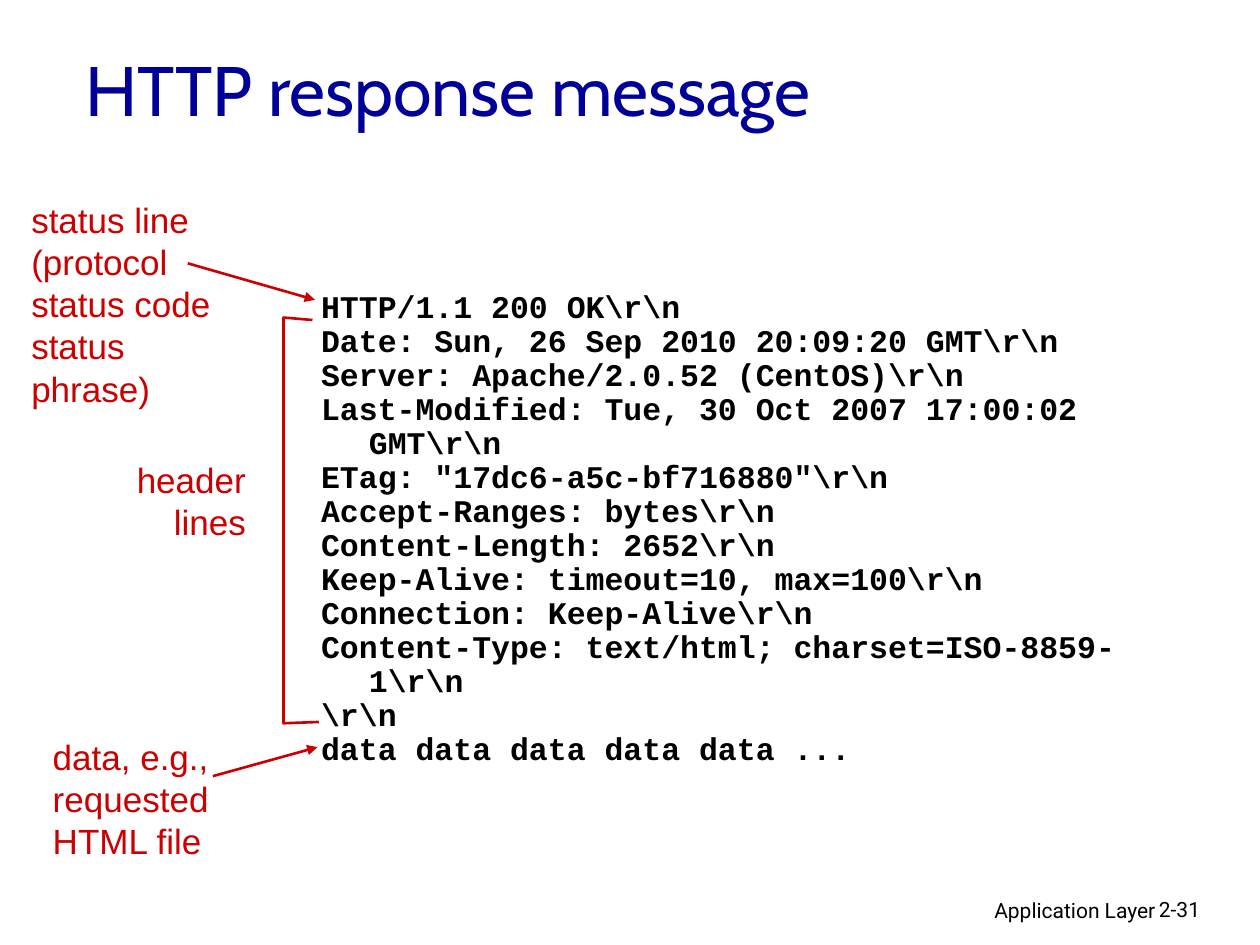
"""Build a slide that explains the parts of an HTTP response message."""
from dataclasses import dataclass

from lxml.etree import SubElement
from pptx import Presentation
from pptx.dml.color import RGBColor
from pptx.enum.shapes import MSO_CONNECTOR as Connector
from pptx.enum.text import MSO_ANCHOR as Anchor, PP_ALIGN as Align
from pptx.oxml.ns import qn
from pptx.util import Inches, Pt


@dataclass(frozen=True)
class Theme:
    title = dict(name="Cabin", size=Pt(40), color="000099")
    label = dict(name="Arial", size=Pt(20), color="CC0000")
    code = dict(name="Courier New", size=Pt(18), bold=True, color="000000")
    footer = dict(name="Roboto", size=Pt(12), color="000000")
    line_color = "CC0000"
    line_width = Pt(1.5)
    label_spacing = dict(line_spacing=Pt(24))
    code_spacing = dict(line_spacing=Pt(19.43))


THEME = Theme()

RESPONSE = r"""HTTP/1.1 200 OK\r\n
Date: Sun, 26 Sep 2010 20:09:20 GMT\r\n
Server: Apache/2.0.52 (CentOS)\r\n
Last-Modified: Tue, 30 Oct 2007 17:00:02 GMT\r\n
ETag: "17dc6-a5c-bf716880"\r\n
Accept-Ranges: bytes\r\n
Content-Length: 2652\r\n
Keep-Alive: timeout=10, max=100\r\n
Connection: Keep-Alive\r\n
Content-Type: text/html; charset=ISO-8859-1\r\n
\r\n
data data data data data ..."""


def place(shape, left, top, width, height):
    sides = dict(left=left, top=top, width=width, height=height)
    for name, value in sides.items():
        setattr(shape, name, Inches(value))


def write(frame, text, style, layout=None, hanging=0):
    frame.word_wrap = True
    frame.text = text
    for para in frame.paragraphs:
        for name, value in (layout or {}).items():
            setattr(para, name, value)
        if hanging:
            properties = para._p.get_or_add_pPr()
            properties.set("marL", str(Inches(hanging)))
            properties.set("indent", str(-Inches(hanging)))
        for span in para.runs:
            for name, value in style.items():
                if name == "color":
                    span.font.color.rgb = RGBColor.from_string(value)
                else:
                    setattr(span.font, name, value)


def add_title(page, text):
    title = page.shapes.title
    place(title, 0.58, 0.17, 8.5, 1.07)
    title.text_frame.vertical_anchor = Anchor.MIDDLE
    write(title.text_frame, text, THEME.title, dict(alignment=Align.LEFT))


def add_text(page, area, text, style, layout=None, hanging=0):
    box = page.shapes.add_textbox(*map(Inches, area))
    write(box.text_frame, text, style, layout, hanging)


def add_label(page, area, text, alignment=Align.LEFT):
    layout = dict(alignment=alignment, **THEME.label_spacing)
    add_text(page, area, text, THEME.label, layout)


def style_line(shape):
    shape.line.color.rgb = RGBColor.from_string(THEME.line_color)
    shape.line.width = THEME.line_width


def add_arrow(page, start, end):
    arrow = page.shapes.add_connector(
        Connector.STRAIGHT, *map(Inches, start + end))
    style_line(arrow)
    SubElement(arrow.line._get_or_add_ln(), qn("a:tailEnd"), type="triangle")
    SubElement(arrow._element.spPr, qn("a:effectLst"))


def add_bracket(page, points):
    start, *rest = [tuple(map(Inches, point)) for point in points]
    builder = page.shapes.build_freeform(*start)
    builder.add_line_segments(rest, close=False)
    bracket = builder.convert_to_shape()
    bracket.fill.background()
    bracket.shadow.inherit = False
    style_line(bracket)


def main():
    deck = Presentation()
    deck.slide_width, deck.slide_height = Inches(10), Inches(7.5)
    page = deck.slides.add_slide(deck.slide_layouts[5])
    add_text(page, (6.1, 7.07, 3.17, 0.31), "Application Layer",
             THEME.footer, dict(alignment=Align.RIGHT))
    add_text(page, (9.1, 7.07, 0.74, 0.3), "2-31", THEME.footer)
    add_title(page, "HTTP response message")
    add_label(page, (0.15, 1.53, 1.9, 1.43),
              "status line\n(protocol\nstatus code\nstatus phrase)")
    add_arrow(page, (1.49, 2.09), (2.5, 2.38))
    add_bracket(page, [(2.48, 2.54), (2.25, 2.52), (2.25, 5.74), (2.53, 5.73)])
    add_label(page, (0.9, 3.59, 1.15, 0.77), "header\nlines", Align.RIGHT)
    add_arrow(page, (1.69, 6.16), (2.52, 5.93))
    add_label(page, (0.32, 5.79, 1.51, 1.1),
              "data, e.g.,\nrequested\nHTML file")
    add_text(page, (2.45, 2.26, 6.9, 3.89), RESPONSE, THEME.code,
             THEME.code_spacing, hanging=0.38)
    deck.save("out.pptx")


if __name__ == "__main__":
    main()
